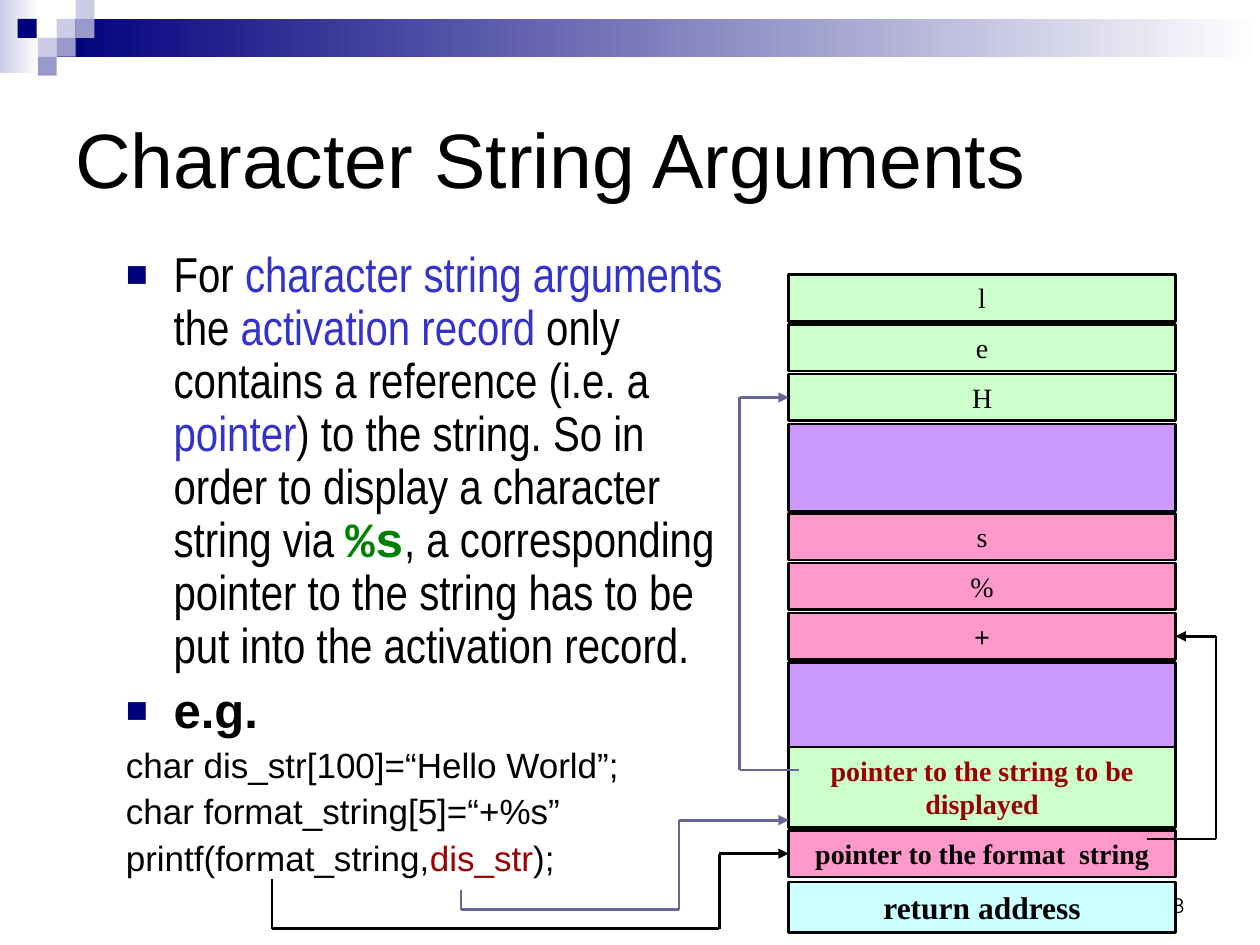
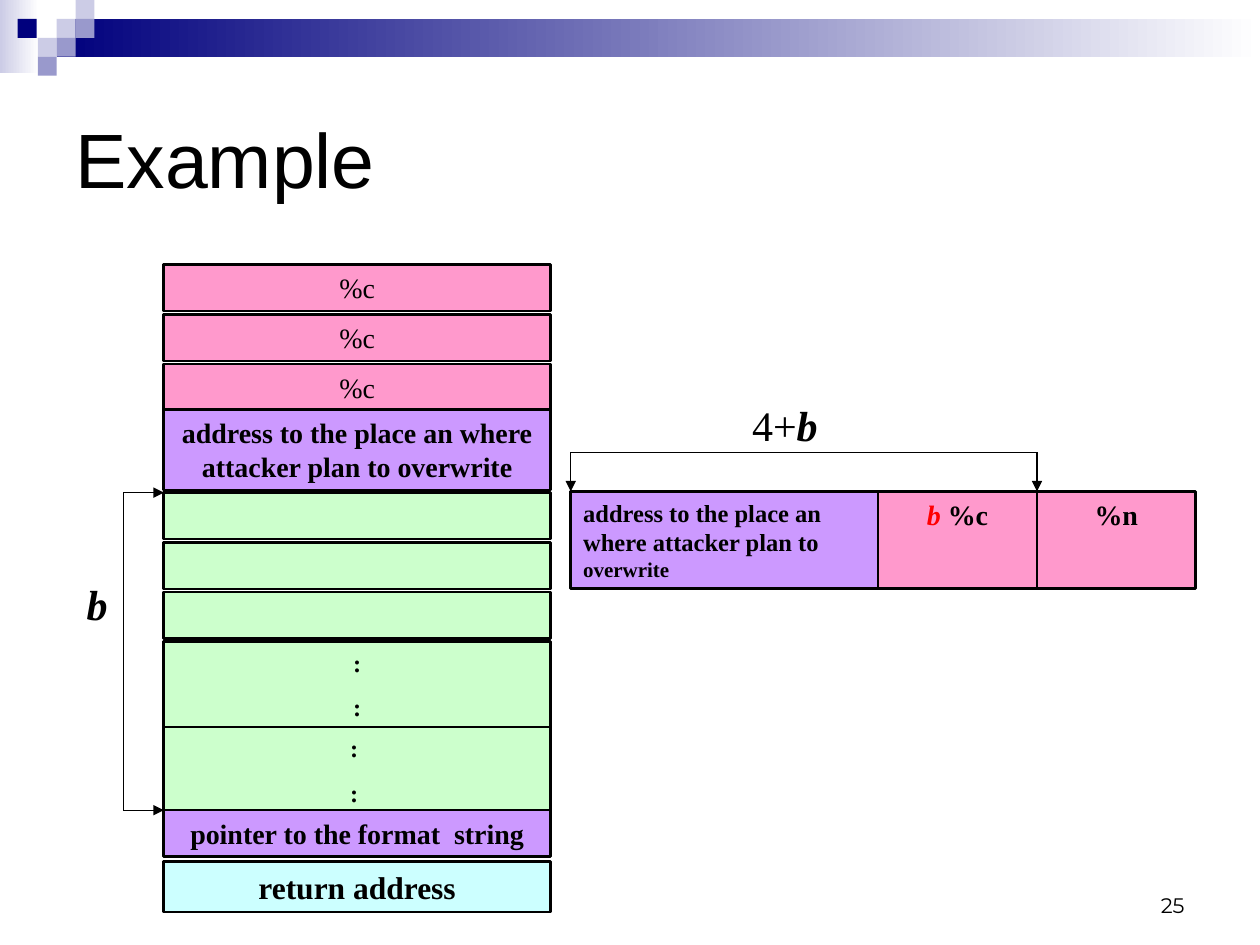
"""Build two slides on string arguments in stack frames."""
from dataclasses import dataclass
from itertools import pairwise

from lxml.etree import SubElement
from pptx import Presentation
from pptx.dml.color import RGBColor
from pptx.enum.shapes import MSO_CONNECTOR, MSO_SHAPE
from pptx.enum.text import MSO_ANCHOR, PP_ALIGN
from pptx.oxml.ns import qn
from pptx.util import Inches, Pt


@dataclass(frozen=True)
class Theme:
    black: str = "000000"
    white: str = "FFFFFF"
    navy: str = "00007D"
    lavender: str = "CCCCE6"
    periwinkle: str = "9999CC"
    blue: str = "3333CC"
    code_green: str = "008000"
    dark_red: str = "990000"
    red: str = "FF0000"
    slate: str = "666699"
    mint: str = "CCFFCC"
    pink: str = "FF99CC"
    purple: str = "CC99FF"
    aqua: str = "CCFFFF"
    sans: str = "Arial"
    narrow: str = "Arial Narrow"
    mono: str = "Courier New"
    serif: str = "Times New Roman"
    number: str = "Montserrat"
    title_size: int = 44
    body_size: int = 28
    symbol_size: int = 24
    code_size: int = 20
    return_size: int = 18
    cell_size: int = 16
    small_size: int = 14
    tiny_size: int = 12


THEME = Theme()
CELL = {"name": THEME.serif, "size": THEME.cell_size}
BOLD_CELL = CELL | {"bold": True}
SYMBOL = CELL | {"size": THEME.symbol_size}
BOLD_ITALIC = {"bold": True, "italic": True}
CENTERED = {"alignment": PP_ALIGN.CENTER, "space_before": Pt(10)}

STACK_WIDTH = 3.07
CELL_GAP = 0.02
CELL_HEIGHT, CELL_PITCH = 0.37, 0.37 + 1.25 * CELL_GAP
TALL_HEIGHT, TALL_PITCH = 0.69, 0.69 + CELL_GAP
ADDRESS_HEIGHT, ADDRESS_PITCH = 0.64, 0.64 + CELL_GAP
RETURN_HEIGHT, RETURN_PITCH = 0.4, 0.41


class SlideBuilder:
    """Draw themed elements on the current slide."""

    def __init__(self, deck, theme):
        self.deck = deck
        self.theme = theme
        self.page = None

    def start(self, title, number):
        theme = self.theme
        self.page = self.deck.slides.add_slide(self.deck.slide_layouts[6])
        self.band()
        number_format = {"name": theme.number, "size": theme.tiny_size}
        self.text((7.17, 6.83, 2.33, 0.5), [[(number, {})]], number_format,
                  {"alignment": PP_ALIGN.RIGHT}, {"vertical_anchor": MSO_ANCHOR.BOTTOM})
        title_format = {"name": theme.sans, "size": theme.title_size}
        self.text((0.5, 0.5, 9, 1.5), [[(title, {})]], title_format,
                  frame_format={"vertical_anchor": MSO_ANCHOR.MIDDLE})

    def band(self):
        theme = self.theme
        self.gradient((0, 0, 0.31, 0.58), theme.lavender)
        self.gradient((0.45, 0.15, 9.55, 0.3), theme.navy)
        side = 0.15
        self.rectangle((0.14, side, side, side), theme.navy)
        mosaic = {theme.lavender: [(1, 1), (2, 0), (0, 2)],
                  theme.periwinkle: [(2, 1), (1, 2), (0, 3)]}
        for color, tiles in mosaic.items():
            for column, row in tiles:
                self.rectangle((0.3 + side * column, side * row, side, side), color)

    def rectangle(self, area, color, outlined=False):
        box = self.page.shapes.add_shape(MSO_SHAPE.RECTANGLE, *map(Inches, area))
        box.shadow.inherit = False
        box.fill.solid()
        box.fill.fore_color.rgb = RGBColor.from_string(color)
        if outlined:
            box.line.color.rgb = RGBColor.from_string(self.theme.black)
            box.line.width = Pt(1.5)
        else:
            box.line.fill.background()
        return box

    def gradient(self, area, color):
        fill = self.rectangle(area, color).fill
        fill.gradient()
        fill.gradient_angle = 0
        for stop, stop_color in zip(fill.gradient_stops, (color, self.theme.white)):
            stop.color.rgb = RGBColor.from_string(stop_color)

    def cell(self, area, color, paras=(), run_format=CELL, para_format=CENTERED):
        box = self.rectangle(area, color, outlined=True)
        self.fill_frame(box.text_frame, paras, run_format, para_format,
                        {"vertical_anchor": MSO_ANCHOR.TOP})
        return box

    def text(self, area, paras, run_format, para_format=None, frame_format=None):
        box = self.page.shapes.add_textbox(*map(Inches, area))
        self.fill_frame(box.text_frame, paras, run_format,
                        para_format or {}, frame_format or {})
        return box.text_frame

    def fill_frame(self, frame, paras, run_format, para_format, frame_format):
        for name, value in ({"word_wrap": True} | frame_format).items():
            setattr(frame, name, value)
        for index, runs in enumerate(paras):
            para = frame.paragraphs[0] if index == 0 else frame.add_paragraph()
            for name, value in para_format.items():
                setattr(para, name, value)
            for words, changes in runs:
                self.span(para, words, {"color": self.theme.black} | run_format | changes)

    def span(self, para, words, values):
        span = para.add_run()
        span.text = words
        for name, value in values.items():
            if name == "color":
                span.font.color.rgb = RGBColor.from_string(value)
            else:
                setattr(span.font, name, Pt(value) if name == "size" else value)

    def bullet(self, para):
        properties = para._p.get_or_add_pPr()
        properties.set("marL", str(Inches(0.38)))
        properties.set("indent", str(Inches(-0.38)))
        color = SubElement(properties, qn("a:buClr"))
        SubElement(color, qn("a:srgbClr"), val=self.theme.navy)
        SubElement(properties, qn("a:buSzPct"), val="75000")
        SubElement(properties, qn("a:buFont"), typeface=self.theme.sans)
        SubElement(properties, qn("a:buChar"), char="■")

    def route(self, points, color, width=1.5, heads=("tailEnd",), target=None, side=1):
        segments = list(pairwise(points))
        for index, (begin, end) in enumerate(segments):
            line = self.page.shapes.add_connector(
                MSO_CONNECTOR.STRAIGHT, *map(Inches, begin + end))
            line.line.color.rgb = RGBColor.from_string(color)
            line.line.width = Pt(width)
            last = index == len(segments) - 1
            if index == 0 and "headEnd" in heads:
                SubElement(line.line._ln, qn("a:headEnd"), type="triangle")
            if last and "tailEnd" in heads:
                SubElement(line.line._ln, qn("a:tailEnd"), type="triangle")
            SubElement(line._element.spPr, qn("a:effectLst"))
            if last and target is not None:
                line.end_connect(target, side)

    def stack(self, left, top, rows):
        boxes = []
        for height, pitch, color, *content in rows:
            boxes.append(self.cell((left, top, STACK_WIDTH, height), color, *content))
            top += pitch
        return boxes

    def frame_base(self, left, top, color):
        return self.stack(left, top, [
            (CELL_HEIGHT, RETURN_PITCH, color,
             [[("pointer to the format  string", {})]], BOLD_CELL),
            (RETURN_HEIGHT, RETURN_PITCH, self.theme.aqua, [[("return address", {})]],
             BOLD_CELL | {"size": self.theme.return_size})])


def letter(words, color, run_format=CELL):
    return CELL_HEIGHT, CELL_PITCH, color, [[(words, {})]], run_format


def middle(box):
    return (box.top + box.height / 2) / Inches(1)


def draw_string_arguments(builder):
    theme = builder.theme
    builder.start("Character String Arguments", "18")
    blue = {"color": theme.blue}
    explanation = [
        ("For ", {}), ("character string arguments", blue), (" the", {}),
        (" activation record", blue), (" only contains a reference (i.e. a", {}),
        (" pointer", blue),
        (") to the string. So in order to display a character string via ", {}),
        ("%s", {"name": theme.mono, "color": theme.code_green, "bold": True}),
        (", a corresponding pointer to the string has to be put into the activation record.", {})]
    code = {"name": theme.sans, "size": theme.code_size}
    body = builder.text((0.9, 1.94, 5.02, 5.2), [
        explanation,
        [("e.g.", {"name": theme.sans, "bold": True})],
        [("char dis_str[100]=“Hello World”;", code)],
        [("char format_string[5]=“+%s”", code)],
        [("printf(format_string,", code), ("dis_str", code | {"color": theme.dark_red}),
         (");", code)],
    ], {"name": theme.narrow, "size": theme.body_size},
        {"line_spacing": 0.9, "space_before": Pt(7)})
    for para in body.paragraphs[:2]:
        builder.bullet(para)
    for para in body.paragraphs[2:]:
        para.space_before = Pt(5)

    left = 6.26
    right = left + STACK_WIDTH
    gap = (TALL_HEIGHT, TALL_PITCH, theme.purple)
    cells = builder.stack(left, 2.18, [
        *(letter(words, theme.mint) for words in "leH"), gap,
        *(letter(words, theme.pink) for words in "s%"),
        letter("+", theme.pink, BOLD_CELL), gap])
    string_start, format_start = cells[2], cells[6]
    builder.cell((left, 5.93, STACK_WIDTH, ADDRESS_HEIGHT), theme.mint,
                 [[("pointer to the string to be displayed", {})]],
                 BOLD_CELL | {"color": theme.dark_red})
    format_pointer, _ = builder.frame_base(left, 6.59, theme.pink)

    level = middle(format_pointer)
    builder.route([(2.16, 6.98), (2.16, 7.37), (5.71, 7.37), (5.71, level), (left, level)],
                  theme.black, target=format_pointer)
    builder.route([(3.66, 7.06), (3.66, 7.22), (5.39, 7.22), (5.39, 6.51), (left, 6.51)],
                  theme.slate)
    level = middle(format_start)
    builder.route([(9.1, 6.66), (9.65, 6.66), (9.65, level), (right, level)],
                  theme.black, target=format_start, side=3)
    level = middle(string_start)
    builder.route([(6.34, 6.11), (5.87, 6.11), (5.87, level), (left, level)],
                  theme.slate, target=string_start)


def draw_example(builder):
    theme = builder.theme
    builder.start("Example", "25")
    left = 1.3
    small_bold = BOLD_CELL | {"size": theme.small_size}
    builder.stack(left, 2.1, [letter("%c", theme.pink)] * 3)
    address = [[("address to the place an where", {}), (" ", {"size": theme.small_size}),
                ("attacker plan to overwrite", {})]]
    dots = {"alignment": PP_ALIGN.CENTER, "space_before": Pt(8.8)}
    builder.stack(left, 3.25, [
        (ADDRESS_HEIGHT, ADDRESS_PITCH, theme.purple, address, BOLD_CELL),
        *[(CELL_HEIGHT, CELL_PITCH, theme.mint)] * 3])
    builder.stack(left, 5.09, [
        (TALL_HEIGHT, 0.68, theme.mint, [[(mark, {})]] * 2, small_bold, dots)
        for mark in (":", ": ")])
    builder.frame_base(left, 6.43, theme.purple)

    top, height, width = 3.9, 0.77, 1.26
    address_left, padding_left = 4.53, 6.97
    store_left = padding_left + width
    builder.cell((address_left, top, padding_left - address_left, height), theme.purple,
                 [[("address to the place an where attacker plan to ", {}),
                   ("overwrite", {"size": theme.tiny_size})]], small_bold,
                 {"alignment": PP_ALIGN.LEFT, "space_before": Pt(7.5)})
    builder.cell((padding_left, top, width, height), theme.pink,
                 [[("b", {"color": theme.red, "italic": True}), (" %c", {})]], BOLD_CELL)
    builder.cell((store_left, top, width, height), theme.pink, [[("%n", {})]], BOLD_CELL)

    both_ends = ("headEnd", "tailEnd")
    builder.route([(address_left, top), (address_left, 3.59), (store_left, 3.59),
                   (store_left, top)], theme.black, 0.75, both_ends)
    builder.route([(left, 3.91), (0.98, 3.91), (0.98, 6.43), (left, 6.43)],
                  theme.black, 0.75, both_ends)
    for area, runs in (((5.87, 3.12, 0.72, 0.5), [("4+", {}), ("b", BOLD_ITALIC)]),
                       ((0.59, 4.54, 0.36, 0.5), [("b", BOLD_ITALIC)])):
        builder.text(area, [runs], SYMBOL, {"space_before": Pt(6)}, {"word_wrap": False})


def main():
    deck = Presentation()
    deck.slide_width, deck.slide_height = Inches(10), Inches(7.5)
    builder = SlideBuilder(deck, THEME)
    draw_string_arguments(builder)
    draw_example(builder)
    deck.save("out.pptx")


if __name__ == "__main__":
    main()
